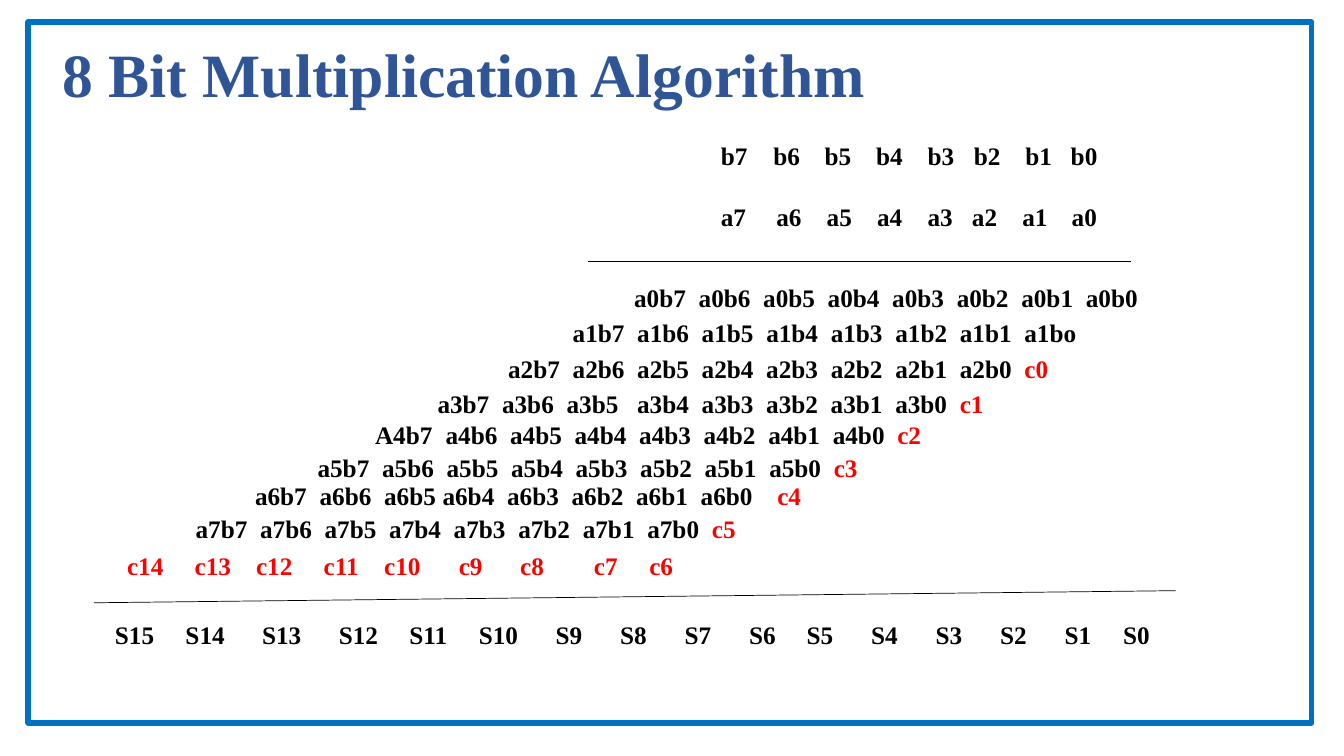
import pptx
import pptx.util
import pptx.dml.color
import pptx.enum.shapes
import pptx.enum.text
import pptx.oxml.ns
from lxml import etree
from pptx.util import Inches

BLACK = pptx.dml.color.RGBColor(0x00, 0x00, 0x00)
RED = pptx.dml.color.RGBColor(0xFF, 0x00, 0x00)
TITLE_BLUE = pptx.dml.color.RGBColor(0x2F, 0x55, 0x97)
FRAME_BLUE = pptx.dml.color.RGBColor(0x00, 0x70, 0xC0)
FONT_NAME = "Times New Roman"
ROW_HEIGHT = 0.4
PRODUCT_PITCH = 0.64

B_STARTS = [7.15, 7.67, 8.18, 8.69, 9.20, 9.66, 10.17, 10.62]
A_STARTS = [7.15, 7.70, 8.20, 8.70, 9.20, 9.64, 10.14, 10.63]
CARRY_STARTS = [1.26, 1.93, 2.54, 3.21, 3.81, 4.55, 5.16, 5.89, 6.44]
SUM_STARTS = [1.14, 1.84, 2.60, 3.36, 4.06, 4.75, 5.51, 6.15,
              6.79, 7.43, 8.00, 8.64, 9.28, 9.92, 10.56, 11.14]

# terms, carry, box left, box top, box width, text start, shifts by column
PRODUCT_ROWS = [
    ("a0b7 a0b6 a0b5 a0b4 a0b3 a0b2 a0b1 a0b0", "", 3.41, 2.75, 7.97, 6.29, {}),
    ("a1b7 a1b6 a1b5 a1b4 a1b3 a1b2 a1b1 a1bo", "", 5.19, 3.10, 5.57, 5.68, {}),
    ("a2b7 a2b6 a2b5 a2b4 a2b3 a2b2 a2b1 a2b0", "c0", 4.08, 3.46, 6.41, 5.04, {}),
    ("a3b7 a3b6 a3b5 a3b4 a3b3 a3b2 a3b1 a3b0", "c1", 3.68, 3.80, 6.17, 4.34, {3: 0.06}),
    ("A4b7 a4b6 a4b5 a4b4 a4b3 a4b2 a4b1 a4b0", "c2", 3.05, 4.11, 6.17, 3.72, {1: 0.06}),
    ("a5b7 a5b6 a5b5 a5b4 a5b3 a5b2 a5b1 a5b0", "c3", 2.43, 4.44, 6.17, 3.15, {}),
    ("a6b7 a6b6 a6b5 a6b4 a6b3 a6b2 a6b1 a6b0", "c4", 2.43, 4.72, 5.63, 2.53, {3: -0.06, 8: 0.12}),
    ("a7b7 a7b6 a7b5 a7b4 a7b3 a7b2 a7b1 a7b0", "c5", 1.39, 5.04, 6.01, 1.94, {}),
]


def format_run(run, color, size=18):
    run.font.name = FONT_NAME
    run.font.size = pptx.util.Pt(size)
    run.font.bold = True
    run.font.color.rgb = color


def add_row_box(slide, left, top, width, height, text_start):
    shape = slide.shapes.add_textbox(Inches(left), Inches(top), Inches(width), Inches(height))
    text_frame = shape.text_frame
    text_frame.word_wrap = True
    text_frame.margin_left = Inches(text_start - left)
    text_frame.margin_right = 0
    return text_frame


def fill_row(paragraph, terms, starts, color=BLACK, carry=""):
    properties = paragraph._p.get_or_add_pPr()
    tab_list = etree.SubElement(properties, pptx.oxml.ns.qn("a:tabLst"))
    for start in starts[1:]:
        tab = etree.SubElement(tab_list, pptx.oxml.ns.qn("a:tab"))
        tab.set("pos", str(Inches(start - starts[0])))
        tab.set("algn", "l")
    paragraph.text = "\t".join(terms)
    format_run(paragraph.runs[0], color)
    if carry:
        run = paragraph.add_run()
        run.text = "\t" + carry
        format_run(run, RED)


def product_starts(text_start, shifts):
    return [
        text_start + column * PRODUCT_PITCH
        + sum(shift for first, shift in shifts.items() if first <= column)
        for column in range(9)
    ]


def add_rule(slide, start_x, start_y, end_x, end_y):
    connector = slide.shapes.add_connector(
        pptx.enum.shapes.MSO_CONNECTOR.STRAIGHT,
        Inches(start_x), Inches(start_y), Inches(end_x), Inches(end_y))
    connector.line.color.rgb = BLACK
    connector.line.width = pptx.util.Pt(0.5)
    etree.SubElement(connector._element.spPr, pptx.oxml.ns.qn("a:effectLst"))


def add_title(slide):
    title = slide.shapes.title
    title.left, title.top = Inches(0.52), Inches(0.31)
    title.width, title.height = Inches(8.52), Inches(0.84)
    title.text_frame.text = "8 Bit Multiplication Algorithm"
    title.text_frame.auto_size = pptx.enum.text.MSO_AUTO_SIZE.NONE
    title.text_frame.vertical_anchor = pptx.enum.text.MSO_ANCHOR.TOP
    paragraph = title.text_frame.paragraphs[0]
    paragraph.alignment = pptx.enum.text.PP_ALIGN.LEFT
    format_run(paragraph.runs[0], TITLE_BLUE, 44)


def add_frame(slide):
    frame = slide.shapes.add_shape(
        pptx.enum.shapes.MSO_SHAPE.RECTANGLE,
        Inches(0.28), Inches(0.22), Inches(12.73), Inches(6.95))
    frame.shadow.inherit = False
    frame.fill.background()
    frame.line.color.rgb = FRAME_BLUE
    frame.line.width = pptx.util.Pt(4)


def main():
    presentation = pptx.Presentation()
    presentation.slide_width = Inches(13.33)
    presentation.slide_height = Inches(7.5)
    slide = presentation.slides.add_slide(presentation.slide_layouts[5])
    add_title(slide)

    operands = add_row_box(slide, 2.16, 1.34, 8.83, 1.31, B_STARTS[0])
    bits = range(7, -1, -1)
    fill_row(operands.paragraphs[0], [f"b{bit}" for bit in bits], B_STARTS)
    multiplier = operands.add_paragraph()
    fill_row(multiplier, [f"a{bit}" for bit in bits], A_STARTS)
    multiplier.space_before = pptx.util.Pt(22)
    add_rule(slide, 5.83, 2.59, 11.22, 2.59)

    for terms, carry, left, top, width, text_start, shifts in PRODUCT_ROWS:
        row = add_row_box(slide, left, top, width, ROW_HEIGHT, text_start)
        fill_row(row.paragraphs[0], terms.split(),
                 product_starts(text_start, shifts), carry=carry)

    carries = add_row_box(slide, 0.24, 5.41, 6.6, ROW_HEIGHT, CARRY_STARTS[0])
    fill_row(carries.paragraphs[0], [f"c{index}" for index in range(14, 5, -1)],
             CARRY_STARTS, RED)
    add_rule(slide, 0.93, 5.98, 11.66, 5.86)
    sums = add_row_box(slide, 0.24, 6.09, 11.26, ROW_HEIGHT, SUM_STARTS[0])
    fill_row(sums.paragraphs[0], [f"S{index}" for index in range(15, -1, -1)], SUM_STARTS)

    add_frame(slide)
    presentation.save("out.pptx")


if __name__ == "__main__":
    main()
